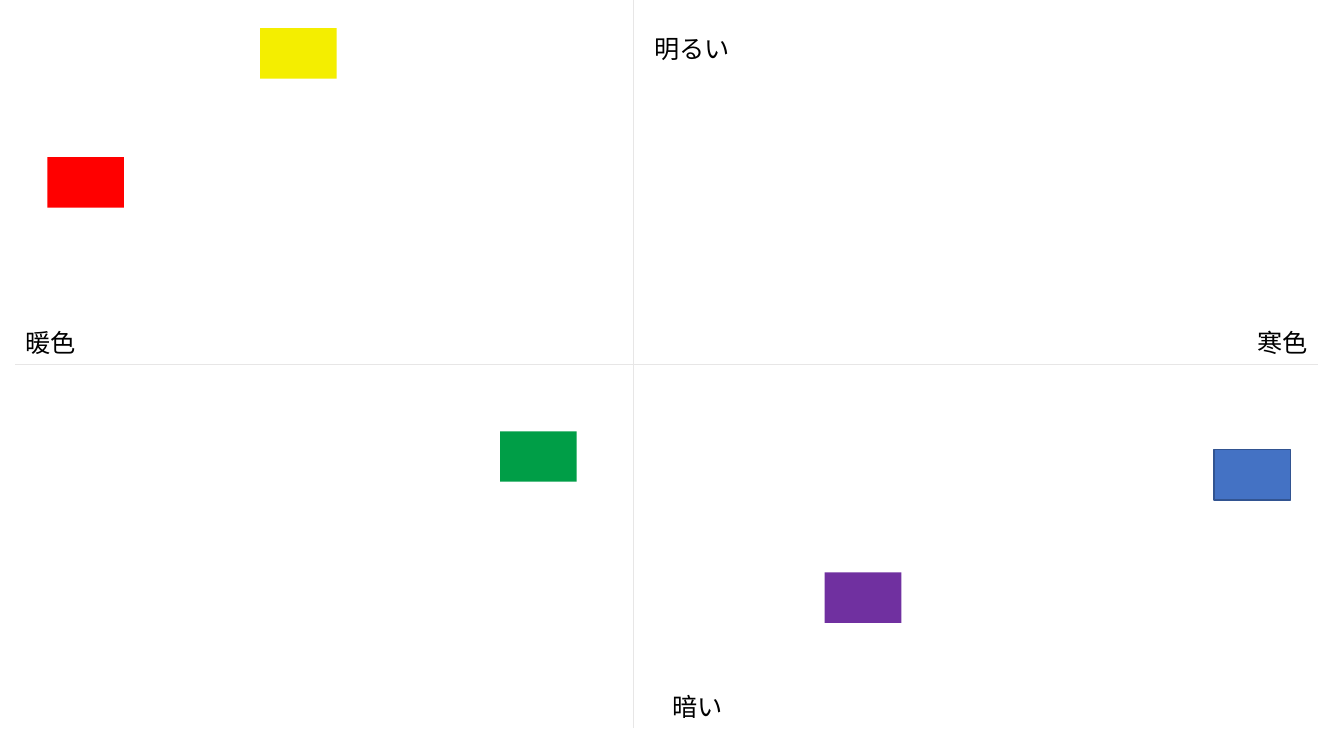
import pptx
import pptx.util
import pptx.dml.color
import pptx.enum.shapes
import pptx.enum.text
import pptx.oxml.ns
import lxml.etree

# Content: positions in inches
WIDTH, HEIGHT = 13.33, 7.5
FONT = "Noto Sans CJK JP"
AXIS_COLOR = "E7E6E6"
AXES = [  # start, end
    ((0.15, 3.61), (13.07, 3.61)),
    ((6.28, 0), (6.28, 7.22)),
]
LABEL_HEIGHT = 0.4
LABELS = [  # text, left, top, width, wrap
    ("明るい", 6.39, 0.28, 1.05, True),
    ("暗い", 6.57, 6.81, 0.71, False),
    ("寒色", 12.37, 3.2, 0.71, False),
    ("暖色", 0.15, 3.2, 0.71, False),
]
SWATCH_SIZE = (0.76, 0.5)
SWATCHES = [  # left, top, fill, outline
    (0.47, 1.56, "FF0000", None),
    (12.04, 4.46, "4472C4", "325491"),
    (2.58, 0.28, "F4EE00", None),
    (8.18, 5.68, "7030A0", None),
    (4.96, 4.28, "009E47", None),
]


def color(value):
    return pptx.dml.color.RGBColor.from_string(value)


def inches(*values):
    return [pptx.util.Inches(v) for v in values]


def add_axis(s, start, end):
    line = s.shapes.add_connector(
        pptx.enum.shapes.MSO_CONNECTOR.STRAIGHT, *inches(*start, *end))
    line.line.color.rgb = color(AXIS_COLOR)
    line.line.width = pptx.util.Pt(0.5)
    lxml.etree.SubElement(line._element.spPr, pptx.oxml.ns.qn("a:effectLst"))


def add_label(s, text, left, top, width, wrap):
    box = s.shapes.add_textbox(*inches(left, top, width, LABEL_HEIGHT))
    tf = box.text_frame
    tf.word_wrap = wrap
    tf.auto_size = pptx.enum.text.MSO_AUTO_SIZE.SHAPE_TO_FIT_TEXT
    r = tf.paragraphs[0].add_run()
    r.text = text
    r.font.size = pptx.util.Pt(18)
    r.font.name = FONT
    r.font.color.rgb = color("000000")
    # East Asian text takes its font from a:ea
    ea = lxml.etree.SubElement(r.font._element, pptx.oxml.ns.qn("a:ea"))
    ea.set("typeface", FONT)


def add_swatch(s, left, top, fill, outline):
    sp = s.shapes.add_shape(pptx.enum.shapes.MSO_SHAPE.RECTANGLE,
                            *inches(left, top, *SWATCH_SIZE))
    sp.shadow.inherit = False
    sp.fill.solid()
    sp.fill.fore_color.rgb = color(fill)
    if outline:
        sp.line.color.rgb = color(outline)
        sp.line.width = pptx.util.Pt(1)
    else:
        sp.line.fill.background()


def main():
    prs = pptx.Presentation()
    prs.slide_width, prs.slide_height = inches(WIDTH, HEIGHT)
    s = prs.slides.add_slide(prs.slide_layouts[6])  # blank layout

    # Axes, their labels, then the colour swatches
    for axis in AXES:
        add_axis(s, *axis)
    for label in LABELS:
        add_label(s, *label)
    for swatch in SWATCHES:
        add_swatch(s, *swatch)

    prs.save("out.pptx")


if __name__ == "__main__":
    main()
